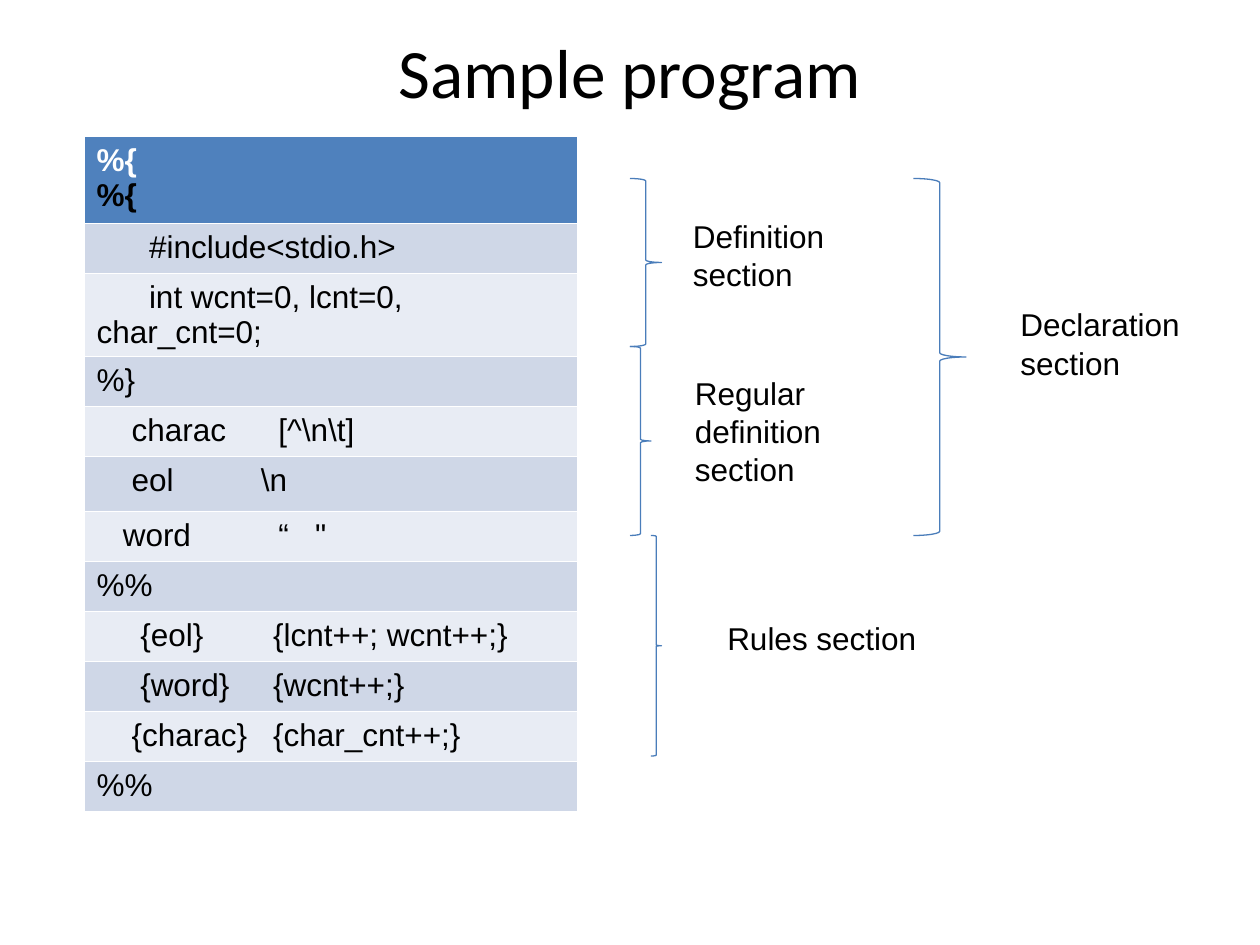
import pptx
import pptx.dml.color
import pptx.enum.shapes
import pptx.enum.text
import pptx.util

Pt = pptx.util.Pt
RGBColor = pptx.dml.color.RGBColor

BLACK = RGBColor(0x00, 0x00, 0x00)
WHITE = RGBColor(0xFF, 0xFF, 0xFF)
HEADER_BLUE = RGBColor(0x4F, 0x81, 0xBD)
DARK_BAND = RGBColor(0xCF, 0xD7, 0xE7)
LIGHT_BAND = RGBColor(0xE8, 0xEC, 0xF4)
BRACE_BLUE = RGBColor(0x4A, 0x7D, 0xBA)

# Code lines below the header, each with its row height
CODE_ROWS = [
    ("      #include<stdio.h>", 28.6),
    ("      int wcnt=0, lcnt=0, char_cnt=0;", 47.5),
    ("%}", 28.6),
    ("    charac      [^\\n\\t]", 28.6),
    ("    eol          \\n", 31.5),
    ("   word          “   \"", 28.6),
    ("%%", 28.6),
    ("     {eol}        {lcnt++; wcnt++;}", 28.6),
    ("     {word}     {wcnt++;}", 28.6),
    ("    {charac}   {char_cnt++;}", 28.6),
    ("%%", 28.6),
]
HEADER_HEIGHT = 49.7

# Left, top, width, height
BRACES = [
    (360, 102, 18, 96),
    (360, 198, 12, 108),
    (522, 102, 30, 204),
    (372, 306, 6, 126),
]
LABELS = [
    ("Definition section", 388.8, 120, 120, 51),
    ("Regular definition section", 390, 210, 108, 73),
    ("Declaration section", 576, 170.8, 120, 51),
    ("Rules section", 408.5, 350, 183.5, 46),
]


def write_text(paragraph, text, size=18, font="Arial", color=BLACK,
               bold=False, align=None, spacing=None):
    run = paragraph.add_run()
    run.text = text
    run.font.size = Pt(size)
    run.font.name = font
    run.font.bold = bold
    run.font.color.rgb = color
    paragraph.alignment = align
    if spacing:
        paragraph.line_spacing = Pt(spacing)


def add_title(slide, text):
    title = slide.shapes.title
    title.left, title.top, title.width, title.height = Pt(36), Pt(21.6), Pt(648), Pt(38)
    title.text_frame.vertical_anchor = pptx.enum.text.MSO_ANCHOR.MIDDLE
    write_text(title.text_frame.paragraphs[0], text, size=39.6, font="Calibri",
               align=pptx.enum.text.PP_ALIGN.CENTER)


def fill_cell(cell, color):
    cell.fill.solid()
    cell.fill.fore_color.rgb = color


def add_code_table(slide):
    total = HEADER_HEIGHT + sum(height for _, height in CODE_ROWS)
    table = slide.shapes.add_table(len(CODE_ROWS) + 1, 1, Pt(48), Pt(78),
                                   Pt(282), Pt(total)).table

    # Header row
    table.rows[0].height = Pt(HEADER_HEIGHT)
    header = table.cell(0, 0)
    fill_cell(header, HEADER_BLUE)
    write_text(header.text_frame.paragraphs[0], "%{", color=WHITE, bold=True, spacing=20)
    write_text(header.text_frame.add_paragraph(), "%{", bold=True, spacing=20)

    # Banded code rows
    for index, (code, height) in enumerate(CODE_ROWS, start=1):
        table.rows[index].height = Pt(height)
        cell = table.cell(index, 0)
        fill_cell(cell, DARK_BAND if index % 2 else LIGHT_BAND)
        write_text(cell.text_frame.paragraphs[0], code, spacing=20)


def add_brace(slide, left, top, width, height):
    brace = slide.shapes.add_shape(pptx.enum.shapes.MSO_SHAPE.RIGHT_BRACE,
                                   Pt(left), Pt(top), Pt(width), Pt(height))
    brace.adjustments[0] = 0.08
    brace.shadow.inherit = False
    brace.fill.background()
    brace.line.color.rgb = BRACE_BLUE
    brace.line.width = Pt(0.75)


def add_label(slide, text, left, top, width, height):
    label = slide.shapes.add_textbox(Pt(left), Pt(top), Pt(width), Pt(height))
    label.text_frame.word_wrap = True
    write_text(label.text_frame.paragraphs[0], text, spacing=21.8)


def main():
    presentation = pptx.Presentation()
    presentation.slide_width = Pt(720)
    presentation.slide_height = Pt(540)
    slide = presentation.slides.add_slide(presentation.slide_layouts[5])

    add_title(slide, "Sample program")
    add_code_table(slide)

    # Section braces and their names
    for box in BRACES:
        add_brace(slide, *box)
    for label in LABELS:
        add_label(slide, *label)

    presentation.save("out.pptx")


if __name__ == "__main__":
    main()
